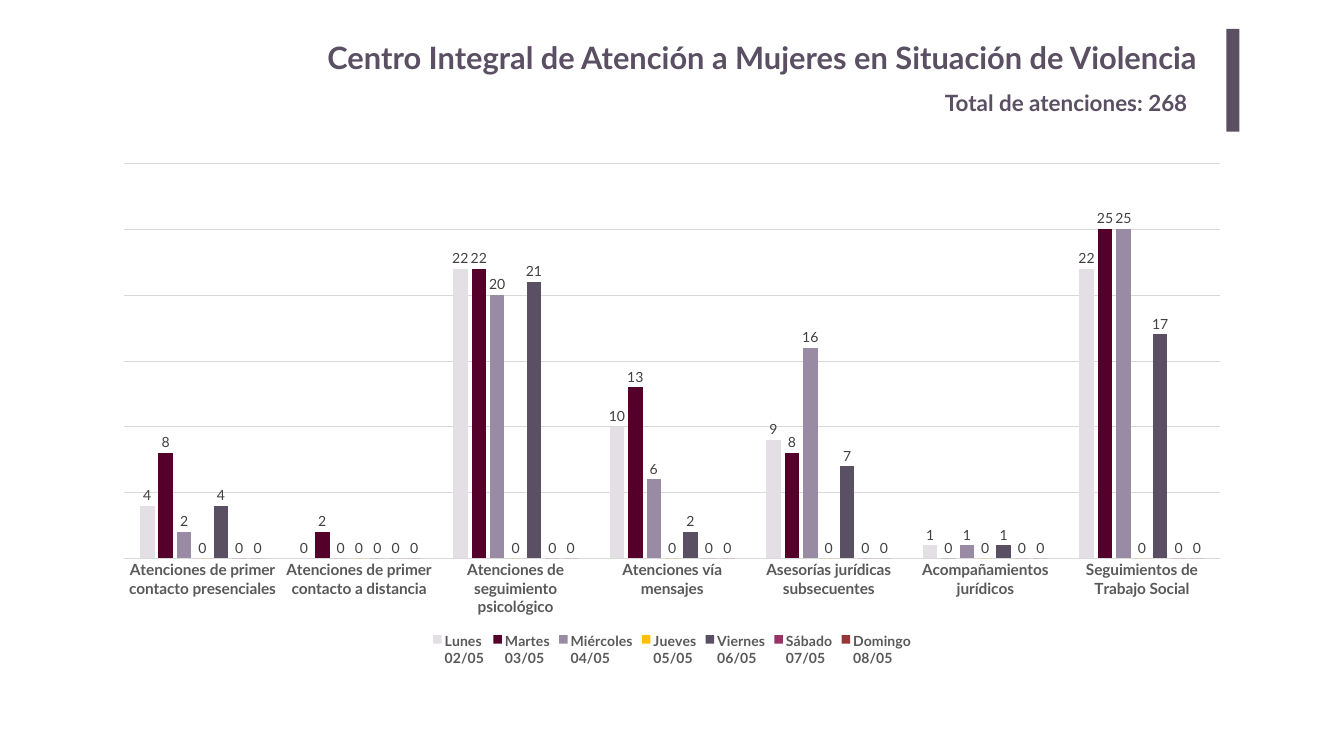
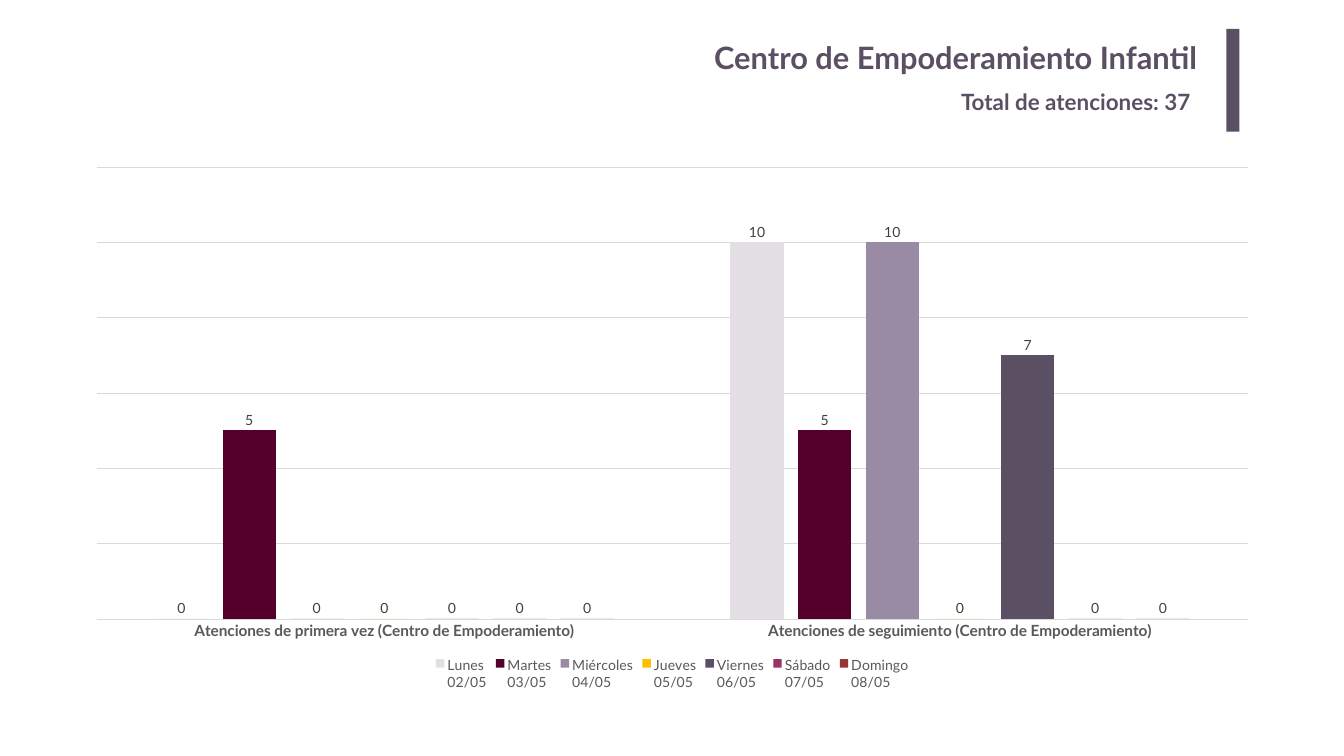
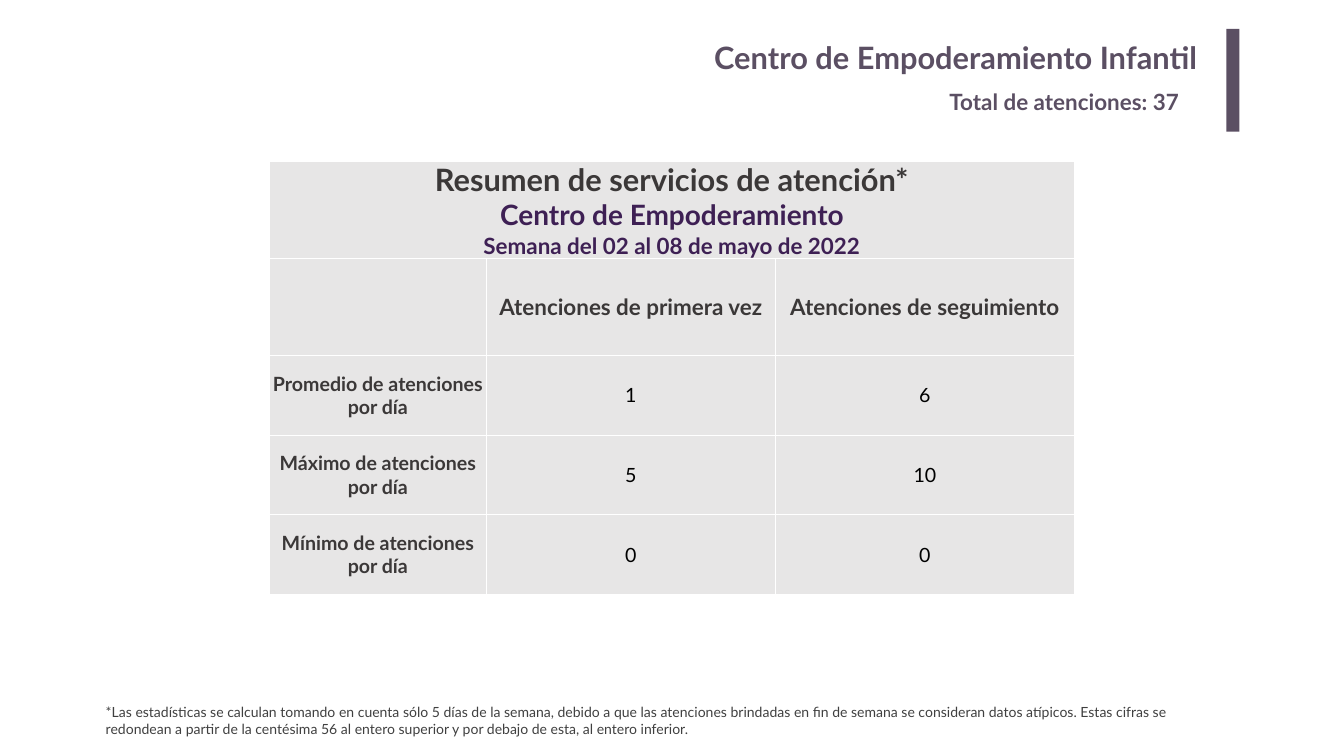
from lxml import etree
from pptx import Presentation
from pptx.chart.data import CategoryChartData
from pptx.dml.color import RGBColor
from pptx.enum.chart import XL_CHART_TYPE, XL_LABEL_POSITION, XL_LEGEND_POSITION, XL_TICK_MARK
from pptx.enum.shapes import MSO_SHAPE
from pptx.enum.text import MSO_ANCHOR, PP_ALIGN
from pptx.oxml import parse_xml
from pptx.oxml.ns import nsdecls
from pptx.util import Cm, Pt

FONT = "Lato"
PURPLE = "5B4F63"
DARK = "3B3838"
PLUM = "3E2054"
BLACK = "000000"
AXIS_TEXT = "595959"
LABEL_TEXT = "404040"
GRID = "D9D9D9"
CELL_FILL = "E7E6E6"
BORDER = "FFFFFF"
DAYS = [
    ("Lunes\n02/05", "E3DFE5"),
    ("Martes\n03/05", "54002A"),
    ("Miércoles\n04/05", "998BA3"),
    ("Jueves\n05/05", "FFC000"),
    ("Viernes\n06/05", PURPLE),
    ("Sábado\n07/05", "993366"),
    ("Domingo\n08/05", "953735"),
]

# Each page: title, total, and place of the total (left, top, width)
PAGES = [
    ("Centro Integral de Atención a Mujeres en Situación de Violencia",
     "Total de atenciones: 268", (47.37, 4.34, 13.49)),
    ("Centro de Empoderamiento Infantil", "Total de atenciones: 37", (48.18, 4.29, 12.83)),
    ("Centro de Empoderamiento Infantil", "Total de atenciones: 37", (47.6, 4.29, 13.41)),
]

# One row of values per category, in the order of DAYS
CHARTS = [
    {"place": (5.11, 7.7, 57.53, 26.06), "top": 30, "step": 5, "bold_legend": True,
     "rows": {
         "Atenciones de primer contacto presenciales": (4, 8, 2, 0, 4, 0, 0),
         "Atenciones de primer contacto a distancia": (0, 2, 0, 0, 0, 0, 0),
         "Atenciones de seguimiento psicológico": (22, 22, 20, 0, 21, 0, 0),
         "Atenciones vía mensajes": (10, 13, 6, 0, 2, 0, 0),
         "Asesorías jurídicas subsecuentes": (9, 8, 16, 0, 7, 0, 0),
         "Acompañamientos jurídicos": (1, 0, 1, 0, 1, 0, 0),
         "Seguimientos de Trabajo Social": (22, 25, 25, 0, 17, 0, 0),
     }},
    {"place": (3.66, 7.87, 60.43, 27.1), "top": 12, "step": 2, "bold_legend": False,
     "rows": {
         "Atenciones de primera vez (Centro de Empoderamiento)": (0, 5, 0, 0, 0, 0, 0),
         "Atenciones de seguimiento (Centro de Empoderamiento)": (10, 5, 10, 0, 7, 0, 0),
     }},
]

COLUMN_WIDTHS = (10.9, 14.6, 15.04)
ROW_HEIGHTS = (4.88, 4.88, 4.01, 4.01, 4.01)
TABLE_HEADING = [
    ("Resumen de servicios de atención*", 44, DARK),
    ("Centro de Empoderamiento", 40, PLUM),
    ("Semana del 02 al 08 de mayo de 2022", 32, PLUM),
]
TABLE_ROWS = [
    ("", "Atenciones de primera vez", "Atenciones de seguimiento"),
    ("Promedio de atenciones por día", "1", "6"),
    ("Máximo de atenciones por día", "5", "10"),
    ("Mínimo de atenciones por día", "0", "0"),
]
NOTE = (
    "*Las estadísticas se calculan tomando en cuenta sólo 5 días de la semana, debido a que las "
    "atenciones brindadas en fin de semana se consideran datos atípicos. Estas cifras se redondean "
    "a partir de la centésima 56 al entero superior y por debajo de esta, al entero inferior."
)


def style_font(font, size, color, bold=False):
    font.name = FONT
    font.size = Pt(size)
    font.bold = bold
    font.color.rgb = RGBColor.from_string(color)


def add_text(page, place, text, size, color, bold=True, align=PP_ALIGN.LEFT, inset=(0.25, 0.13)):
    frame = page.shapes.add_textbox(*map(Cm, place)).text_frame
    frame.word_wrap = True
    frame.margin_left = frame.margin_right = Cm(inset[0])
    frame.margin_top = frame.margin_bottom = Cm(inset[1])
    para = frame.paragraphs[0]
    para.alignment = align
    span = para.add_run()
    span.text = text
    style_font(span.font, size, color, bold)


deck = Presentation()
deck.slide_width = Cm(67.73)
deck.slide_height = Cm(38.1)

# Shared heading
for title, total, (left, top, width) in PAGES:
    page = deck.slides.add_slide(deck.slide_layouts[6])
    add_text(page, (9.3, 1.7, 51.56, 2.59), title, 44, PURPLE,
             align=PP_ALIGN.RIGHT, inset=(0.51, 0.25))
    band = page.shapes.add_shape(MSO_SHAPE.RECTANGLE, Cm(61.8), Cm(1.45), Cm(0.66), Cm(5.18))
    band.shadow.inherit = False
    band.fill.solid()
    band.fill.fore_color.rgb = RGBColor.from_string(PURPLE)
    band.line.fill.background()
    add_text(page, (left, top, width, 1.64), total, 32, PURPLE)

# Charts on the first two pages
for page, content in zip(deck.slides, CHARTS):
    data = CategoryChartData()
    data.categories = list(content["rows"])
    for (day, _), values in zip(DAYS, zip(*content["rows"].values())):
        data.add_series(day, values)
    chart = page.shapes.add_chart(
        XL_CHART_TYPE.COLUMN_CLUSTERED, *map(Cm, content["place"]), data).chart
    style_font(chart.font, 10, BLACK)
    chart.has_title = False
    chart.has_legend = True
    chart.legend.position = XL_LEGEND_POSITION.BOTTOM
    chart.legend.include_in_layout = False
    style_font(chart.legend.font, 20, AXIS_TEXT, content["bold_legend"])

    categories = chart.category_axis
    categories.major_tick_mark = categories.minor_tick_mark = XL_TICK_MARK.NONE
    style_font(categories.tick_labels.font, 22, AXIS_TEXT, True)
    scale = chart.value_axis
    scale.visible = False
    scale.minimum_scale = 0
    scale.maximum_scale = content["top"]
    scale.major_unit = content["step"]
    scale.has_major_gridlines = True
    for line in (categories.format.line, scale.major_gridlines.format.line):
        line.color.rgb = RGBColor.from_string(GRID)
        line.width = Pt(0.75)

    plot = chart.plots[0]
    plot.gap_width = 219
    plot.overlap = -27
    plot.vary_by_categories = False
    for series, (_, color) in zip(plot.series, DAYS):
        series.format.fill.solid()
        series.format.fill.fore_color.rgb = RGBColor.from_string(color)
        labels = series.data_labels
        labels.show_value = True
        labels.position = XL_LABEL_POSITION.OUTSIDE_END
        style_font(labels.font, 20, LABEL_TEXT)

# Summary table on the last page
page = deck.slides[2]
table = page.shapes.add_table(
    len(ROW_HEIGHTS), len(COLUMN_WIDTHS), Cm(13.59), Cm(8.13),
    Cm(sum(COLUMN_WIDTHS)), Cm(sum(ROW_HEIGHTS))).table
table.first_row = table.horz_banding = False
for column, width in zip(table.columns, COLUMN_WIDTHS):
    column.width = Cm(width)
for row, height in zip(table.rows, ROW_HEIGHTS):
    row.height = Cm(height)
table.cell(0, 0).merge(table.cell(0, 2))

for row in range(len(ROW_HEIGHTS)):
    for column in range(len(COLUMN_WIDTHS)):
        cell = table.cell(row, column)
        cell.margin_left = cell.margin_right = cell.margin_top = cell.margin_bottom = 0
        cell.vertical_anchor = MSO_ANCHOR.MIDDLE
        properties = cell._tc.get_or_add_tcPr()
        for side in ("lnL", "lnR", "lnT", "lnB"):
            border = parse_xml(f'<a:{side} {nsdecls("a")} w="{Pt(1)}"/>')
            paint = etree.SubElement(border, border.tag.replace(side, "solidFill"))
            etree.SubElement(paint, border.tag.replace(side, "srgbClr"), val=BORDER)
            properties.append(border)
        cell.fill.solid()
        cell.fill.fore_color.rgb = RGBColor.from_string(CELL_FILL)

        is_value = row > 1 and column > 0
        if row > 0:
            text = TABLE_ROWS[row - 1][column]
            lines = [(text, 32 if row == 1 else 28, BLACK if is_value else DARK)] if text else []
        else:
            lines = TABLE_HEADING if column == 0 else []
        for index, (text, size, color) in enumerate(lines):
            frame = cell.text_frame
            para = frame.add_paragraph() if index else frame.paragraphs[0]
            para.alignment = PP_ALIGN.CENTER
            span = para.add_run()
            span.text = text
            style_font(span.font, size, color, not is_value)

add_text(page, (5.08, 35.31, 56.72, 1.96), NOTE, 20, LABEL_TEXT, bold=False)

deck.save("out.pptx")
